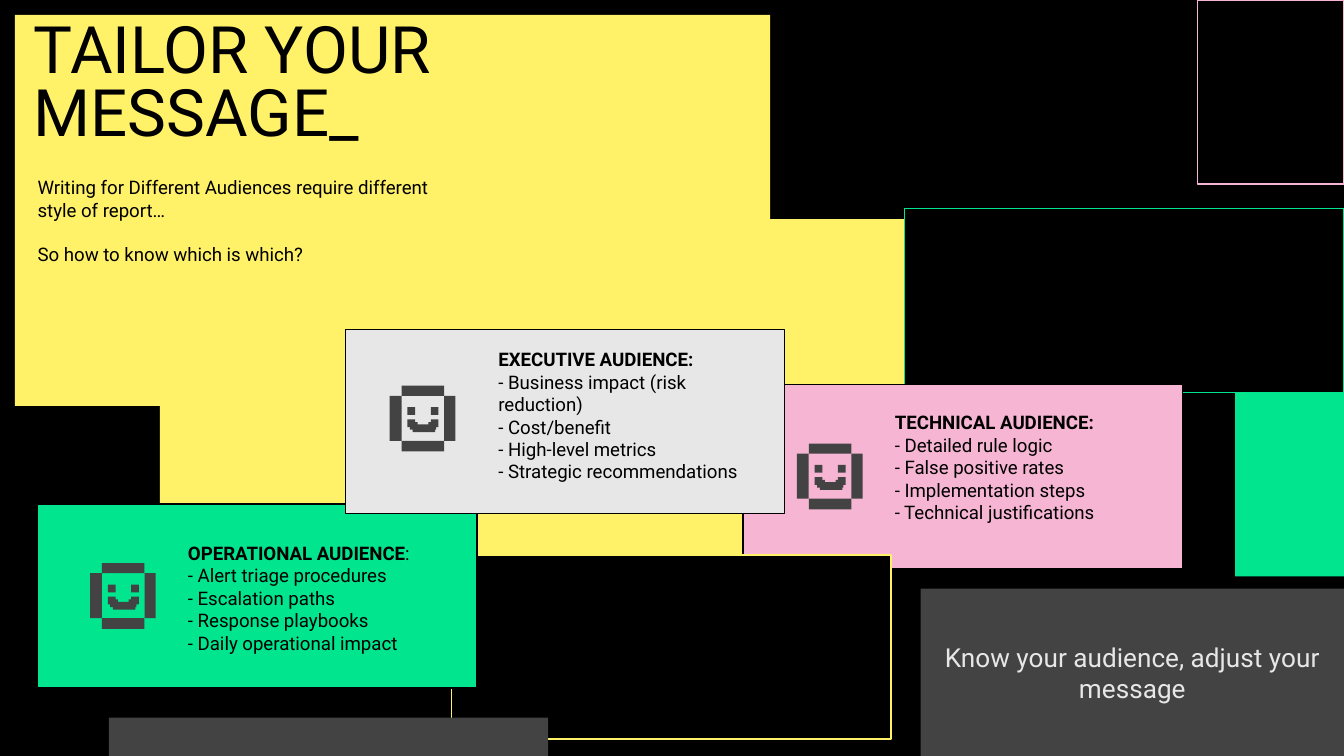
from typing import NamedTuple, Optional

from pptx import Presentation
from pptx import util as u
from pptx.dml.color import RGBColor
from pptx.enum import shapes, text

# The slide is a grid of square cells, 200 columns wide and 112.5 rows high.
COLUMNS, ROWS = 200, 112.5
CELL = u.Inches(10) / COLUMNS
FONT = "Roboto"
BLACK, YELLOW, GREEN, PINK = "000000", "FFF269", "00E58E", "F6B5D3"
CHARCOAL, LIGHT = "434343", "E7E7E7"
PANEL_WIDTH, PANEL_HEIGHT = 65.4, 27.4
INSET = 2


class Box(NamedTuple):
    col: float
    row: float
    width: float = PANEL_WIDTH
    height: float = PANEL_HEIGHT


class Panel(NamedTuple):
    box: Box
    fill: str
    outline: Optional[str] = None


class Audience(NamedTuple):
    panel: Panel
    face: tuple[float, float]
    words: Box
    heading: str
    colon_bold: bool
    needs: list[str]


BACKDROP = [
    Panel(Box(2.2, 2.2, 112.4, 58.2), YELLOW),
    Panel(Box(23.8, 32.6, 127.6, 52), YELLOW),
    Panel(Box(134.6, 31), BLACK, GREEN),
]
LOWER_FRAME = Panel(Box(67.2, 82.6), BLACK, YELLOW)
FOOTER_BLOCK = Panel(Box(16.2, 106.8, PANEL_WIDTH, ROWS - 106.8), CHARCOAL)
TAKEAWAY = Panel(Box(137, 87.6, COLUMNS - 137, ROWS - 87.6), CHARCOAL)
RIGHT_EDGE = [
    Panel(Box(183.8, 58.4, COLUMNS - 183.8), GREEN),
    Panel(Box(178.2, 0, COLUMNS - 178.2), BLACK, PINK),
]

TECHNICAL = Audience(
    Panel(Box(110.6, 57.2), PINK, BLACK), (118.6, 66), Box(131.2, 59.2, 41.8, 23.4),
    "TECHNICAL AUDIENCE", True,
    ["Detailed rule logic", "False positive rates", "Implementation steps",
     "Technical justifications"])
OPERATIONAL = Audience(
    Panel(Box(5.6, 75), GREEN, BLACK), (13.4, 83.8), Box(26, 78.6, 41.8, 20.4),
    "OPERATIONAL AUDIENCE", False,
    ["Alert triage procedures", "Escalation paths", "Response playbooks",
     "Daily operational impact"])
EXECUTIVE = Audience(
    Panel(Box(51.4, 49), LIGHT, BLACK), (58, 57.4), Box(72.2, 49.8, 41.8, 20.4),
    "EXECUTIVE AUDIENCE", True,
    ["Business impact (risk reduction)", "Cost/benefit", "High-level metrics",
     "Strategic recommendations"])

DOT = 1.16
FACE_PARTS = [
    Box(0, 1.5, 1.76, 6.7), Box(8.1, 1.5, 1.66, 6.7),      # sides
    Box(1.76, 0, 6.34, 1.5), Box(1.76, 8.2, 6.34, 1.6),    # top and chin
    Box(2.64, 3.2, DOT, DOT), Box(6.1, 3.2, DOT, DOT),     # eyes
    Box(2.64, 5, DOT, DOT), Box(6.1, 5, DOT, DOT),         # smile
    Box(3, 5.4, DOT, DOT), Box(5.74, 5.4, DOT, DOT),
    Box(3.4, 5.76, 3.36, DOT),
]


def cells(count: float) -> u.Emu:
    return u.Emu(round(count * CELL))


def place(box: Box) -> list[u.Emu]:
    return [cells(length) for length in box]


def rgb(colour: str) -> RGBColor:
    return RGBColor.from_string(colour)


def add_panel(holder, panel: Panel):
    """Draw a rectangle on a slide's or a group's shapes."""
    rect = holder.add_shape(shapes.MSO_SHAPE.RECTANGLE, *place(panel.box))
    rect.shadow.inherit = False
    rect.fill.solid()
    rect.fill.fore_color.rgb = rgb(panel.fill)
    if panel.outline:
        rect.line.color.rgb = rgb(panel.outline)
        rect.line.width = u.Pt(0.75)
    else:
        rect.line.fill.background()
    return rect


def set_frame(frame, inset: float, anchor) -> None:
    frame.word_wrap = True
    frame.auto_size = text.MSO_AUTO_SIZE.NONE
    frame.vertical_anchor = anchor
    frame.margin_left = frame.margin_right = cells(inset)
    frame.margin_top = frame.margin_bottom = cells(inset)


def add_run(paragraph, words: str, size: float = 10, colour: str = BLACK,
            bold: bool = False) -> None:
    run = paragraph.add_run()
    run.text = words
    run.font.name = FONT
    run.font.size = u.Pt(size)
    run.font.bold = bold
    run.font.color.rgb = rgb(colour)


def add_face(slide, col: float, row: float) -> None:
    face = slide.shapes.add_group_shape()
    for part in FACE_PARTS:
        box = part._replace(col=col + part.col, row=row + part.row)
        add_panel(face.shapes, Panel(box, CHARCOAL))


def add_audience(slide, audience: Audience) -> None:
    add_panel(slide.shapes, audience.panel)
    add_face(slide, *audience.face)
    frame = slide.shapes.add_textbox(*place(audience.words)).text_frame
    set_frame(frame, INSET, text.MSO_ANCHOR.TOP)
    heading = frame.paragraphs[0]
    if audience.colon_bold:
        add_run(heading, audience.heading + ":", bold=True)
    else:
        add_run(heading, audience.heading, bold=True)
        add_run(heading, ":")
    for need in audience.needs:
        add_run(frame.add_paragraph(), f"- {need}")


def add_introduction(slide) -> None:
    frame = slide.shapes.add_textbox(*place(Box(5.6, 26.2, 63, 23.4))).text_frame
    set_frame(frame, 0, text.MSO_ANCHOR.TOP)
    add_run(frame.paragraphs[0],
            "Writing for Different Audiences require different style of report…")
    question = frame.add_paragraph()
    question.space_before = u.Pt(12)
    add_run(question, "So how to know which is which?")


def add_takeaway(slide) -> None:
    frame = add_panel(slide.shapes, TAKEAWAY).text_frame
    set_frame(frame, INSET, text.MSO_ANCHOR.MIDDLE)
    message = frame.paragraphs[0]
    message.alignment = text.PP_ALIGN.CENTER
    add_run(message, "Know your audience, adjust your message", 14, LIGHT)


def format_title(slide) -> None:
    """Fill the title and bring it in front of the yellow backdrop."""
    title = slide.shapes.title
    title.left, title.top, title.width, title.height = place(Box(5, 3.2, 92.2, 19))
    set_frame(title.text_frame, 0, text.MSO_ANCHOR.BOTTOM)
    line = title.text_frame.paragraphs[0]
    line.alignment = text.PP_ALIGN.LEFT
    line.line_spacing = 0.8
    add_run(line, "TAILOR YOUR MESSAGE_", 35)
    title._element.getparent().append(title._element)


def main() -> None:
    deck = Presentation()
    deck.slide_width, deck.slide_height = cells(COLUMNS), cells(ROWS)
    slide = deck.slides.add_slide(deck.slide_layouts.get_by_name("Title Only"))
    slide.background.fill.solid()
    slide.background.fill.fore_color.rgb = rgb(BLACK)

    for panel in BACKDROP:
        add_panel(slide.shapes, panel)
    add_audience(slide, TECHNICAL)
    add_panel(slide.shapes, LOWER_FRAME)
    add_audience(slide, OPERATIONAL)
    add_panel(slide.shapes, FOOTER_BLOCK)
    add_takeaway(slide)
    for panel in RIGHT_EDGE:
        add_panel(slide.shapes, panel)
    add_introduction(slide)
    format_title(slide)
    add_audience(slide, EXECUTIVE)
    deck.save("out.pptx")


if __name__ == "__main__":
    main()
